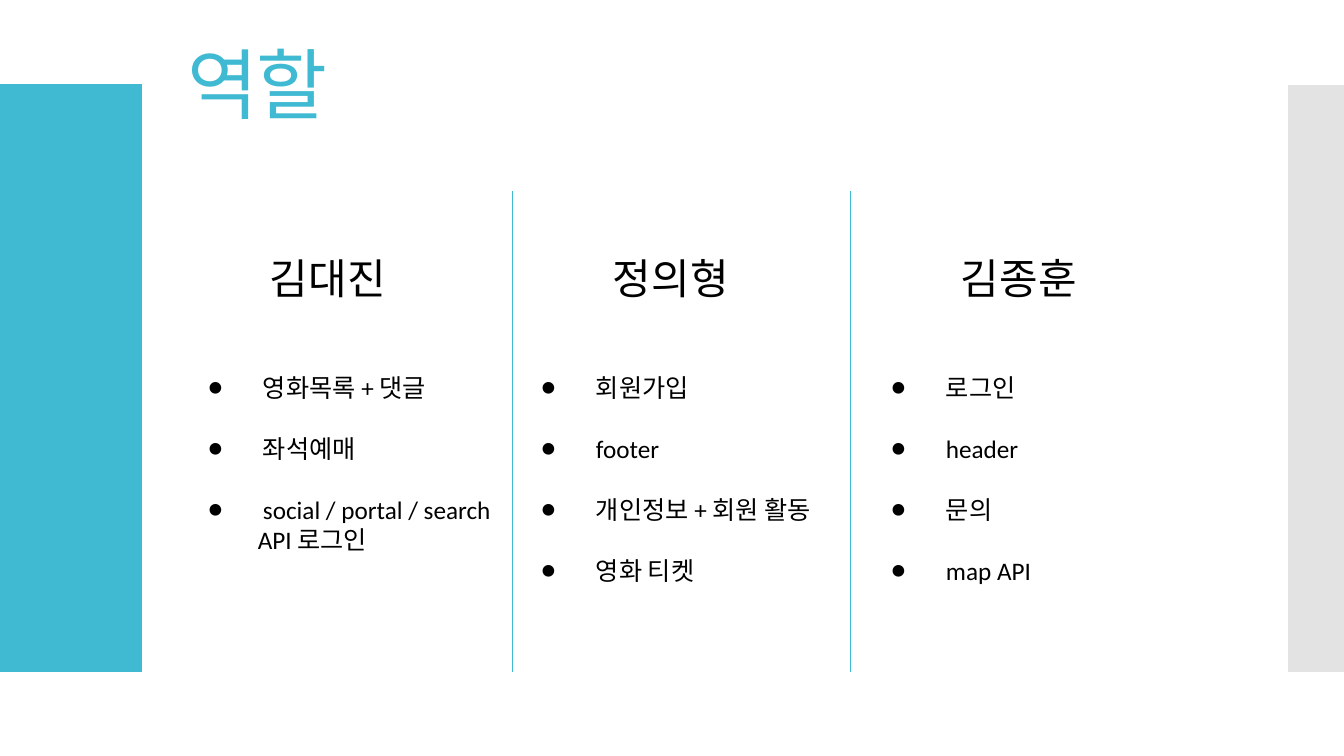
from dataclasses import dataclass

from lxml.etree import SubElement
from pptx import Presentation
from pptx.dml.color import RGBColor
from pptx.enum.shapes import MSO_CONNECTOR, MSO_SHAPE
from pptx.enum.text import MSO_ANCHOR, MSO_AUTO_SIZE, PP_ALIGN
from pptx.oxml.ns import qn
from pptx.util import Emu, Pt

EMU_PER_PX = 914400 / 100.8


@dataclass(frozen=True)
class Theme:
    font: str = "Calibri"
    accent: str = "40BAD2"
    side: str = "C8C8C8"
    text: str = "000000"
    title_size: int = 55
    name_size: int = 30
    body_size: int = 18
    item_gap: int = 22
    line_width: float = 0.75


def px(length):
    return Emu(round(length * EMU_PER_PX))


class RoleSlide:
    def __init__(self, slide, theme):
        self.slide = slide
        self.theme = theme

    def style(self, paragraph, size, color):
        for run in paragraph.runs:
            run.font.name = self.theme.font
            run.font.size = Pt(size)
            run.font.color.rgb = RGBColor.from_string(color)

    def title(self, text, left, top, width, height):
        shape = self.slide.shapes.title
        shape.left, shape.top = px(left), px(top)
        shape.width, shape.height = px(width), px(height)
        frame = shape.text_frame
        frame.text = text
        frame.auto_size = MSO_AUTO_SIZE.NONE
        frame.vertical_anchor = MSO_ANCHOR.BOTTOM
        paragraph = frame.paragraphs[0]
        paragraph.alignment = PP_ALIGN.LEFT
        paragraph.line_spacing = 0.9
        self.style(paragraph, self.theme.title_size, self.theme.accent)
        paragraph.runs[0].font._element.set("spc", "-100")

    def bar(self, left, top, width, height, color, opacity=100):
        shape = self.slide.shapes.add_shape(
            MSO_SHAPE.RECTANGLE, px(left), px(top), px(width), px(height))
        shape.shadow.inherit = False
        shape.fill.solid()
        shape.fill.fore_color.rgb = RGBColor.from_string(color)
        shape.line.fill.background()
        if opacity < 100:
            fill_color = shape._element.spPr.find(".//" + qn("a:srgbClr"))
            SubElement(fill_color, qn("a:alpha"), val=str(opacity * 1000))

    def divider(self, x, top, bottom):
        line = self.slide.shapes.add_connector(
            MSO_CONNECTOR.STRAIGHT, px(x), px(top), px(x), px(bottom))
        line.line.color.rgb = RGBColor.from_string(self.theme.accent)
        line.line.width = Pt(self.theme.line_width)
        SubElement(line._element.spPr, qn("a:effectLst"))

    def text_box(self, text, left, top, width, height, size):
        box = self.slide.shapes.add_textbox(
            px(left), px(top), px(width), px(height))
        frame = box.text_frame
        frame.word_wrap = True
        frame.text = text
        for paragraph in frame.paragraphs:
            self.style(paragraph, size, self.theme.text)
        return frame

    def bullet_list(self, items, left, top, width, height):
        """Items starting with a tab continue the item above, without a bullet."""
        lines = "\n".join(item.strip() for item in items)
        frame = self.text_box(lines, left, top, width, height,
                              self.theme.body_size)
        for index, (item, paragraph) in enumerate(zip(items, frame.paragraphs)):
            properties = paragraph._p.get_or_add_pPr()
            if item.startswith("\t"):
                properties.set("marL", str(px(50)))
                properties.set("indent", "0")
                continue
            if index:
                paragraph.space_before = Pt(self.theme.item_gap)
            properties.set("marL", str(px(55)))
            properties.set("indent", str(-px(55)))
            SubElement(properties, qn("a:buFont"), typeface=self.theme.font)
            SubElement(properties, qn("a:buChar"), char="●")


# name, left of the name, left of the list, tasks
MEMBERS = [
    ("김대진", 260, 198,
     ["영화목록 + 댓글", "좌석예매", "social / portal / search", "\tAPI 로그인"]),
    ("정의형", 603, 531,
     ["회원가입", "footer", "개인정보 + 회원 활동", "영화 티켓"]),
    ("김종훈", 951, 881,
     ["로그인", "header", "문의", "map API"]),
]


def main():
    presentation = Presentation()
    presentation.slide_width = px(1344)
    presentation.slide_height = px(756)
    theme = Theme()
    title_only = presentation.slide_layouts[5]
    roles = RoleSlide(presentation.slides.add_slide(title_only), theme)

    roles.title("역할", 177, 32, 823, 103)
    roles.bar(0, 84, 142, 588, theme.accent)
    roles.bar(1288, 85, 56, 587, theme.side, opacity=50)
    for x in (513, 851):
        roles.divider(x, 191, 672)
    for name, name_left, list_left, tasks in MEMBERS:
        roles.text_box(name, name_left, 248, 157, 61, theme.name_size)
        roles.bullet_list(tasks, list_left, 367, 328, 224)

    presentation.save("out.pptx")


if __name__ == "__main__":
    main()
